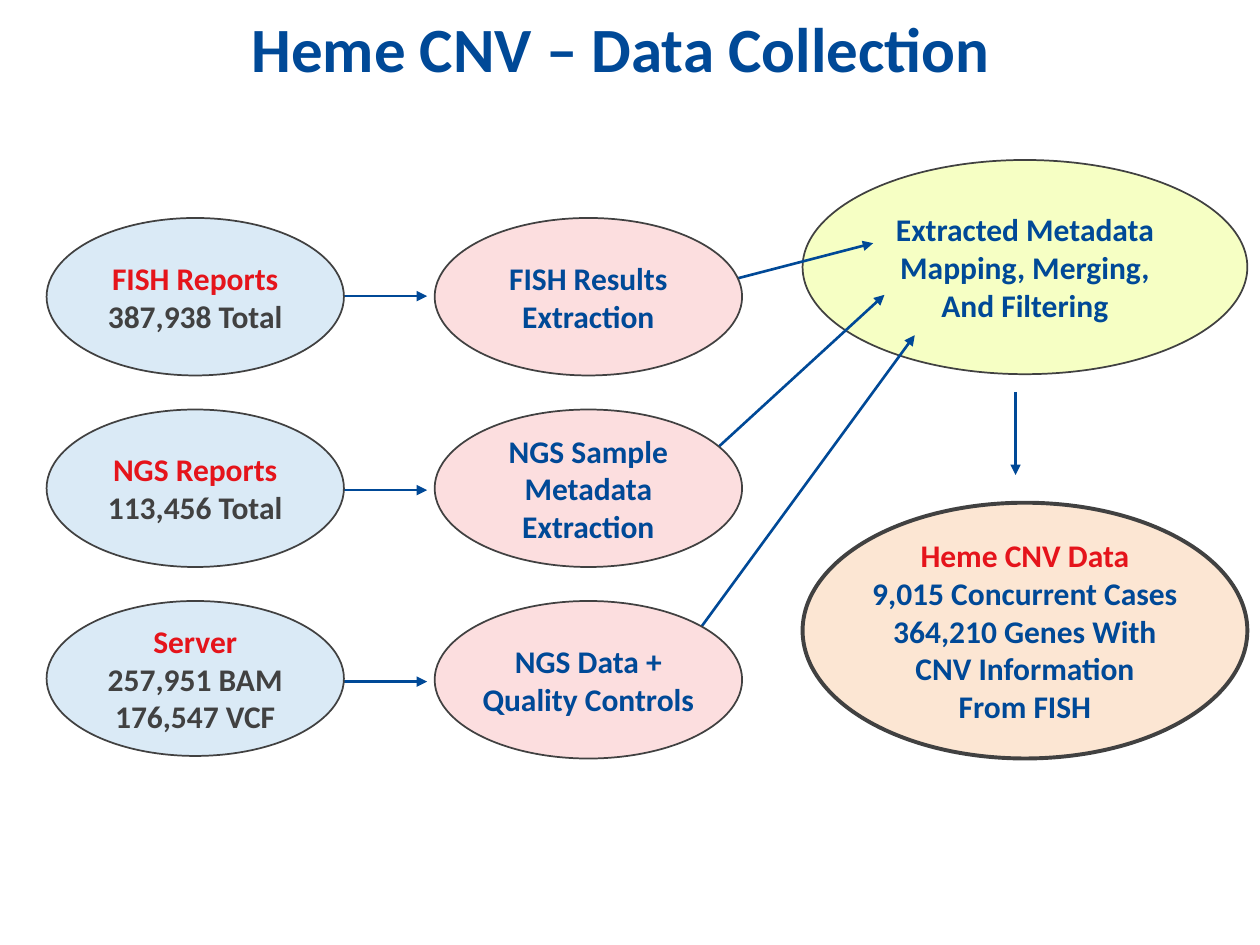
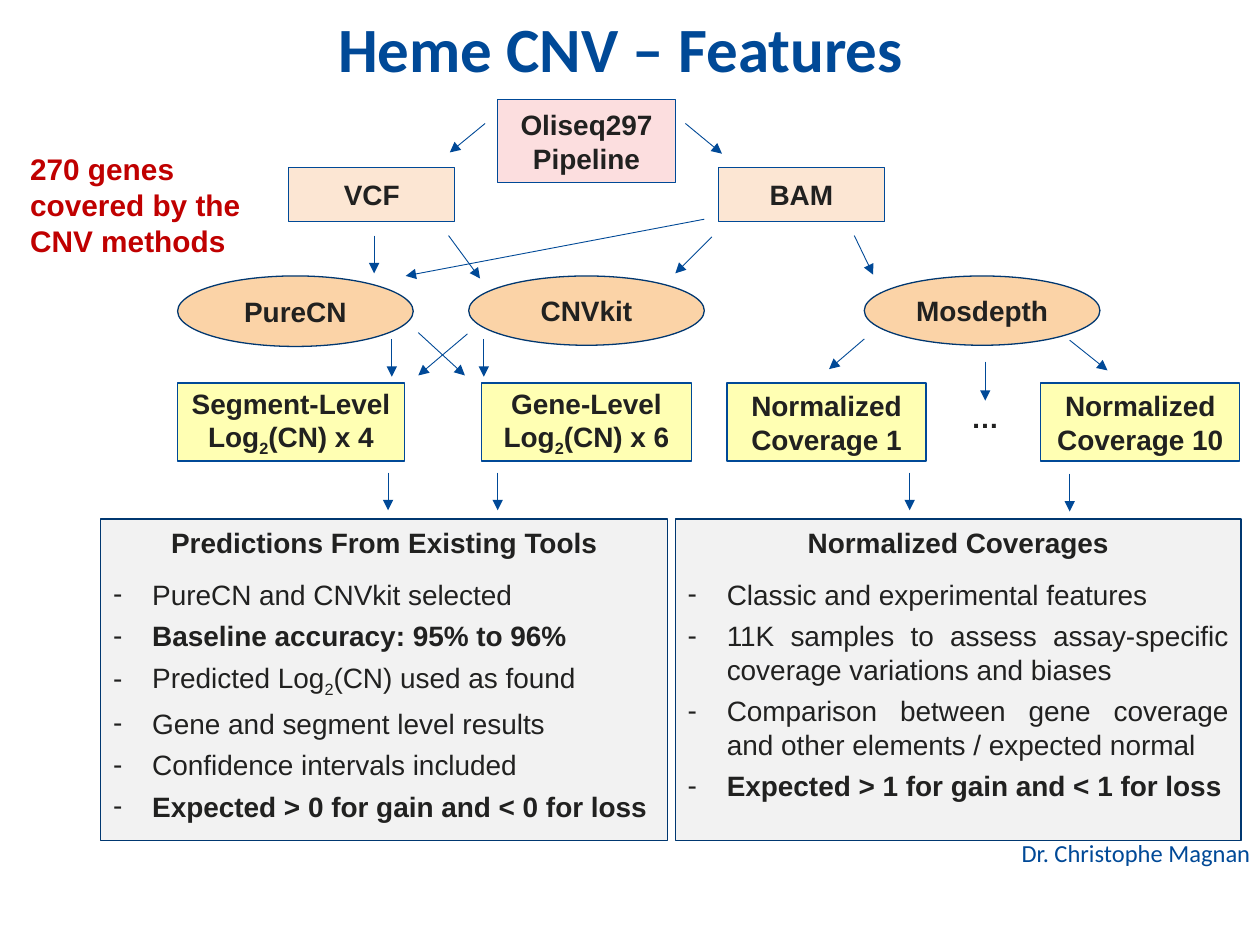
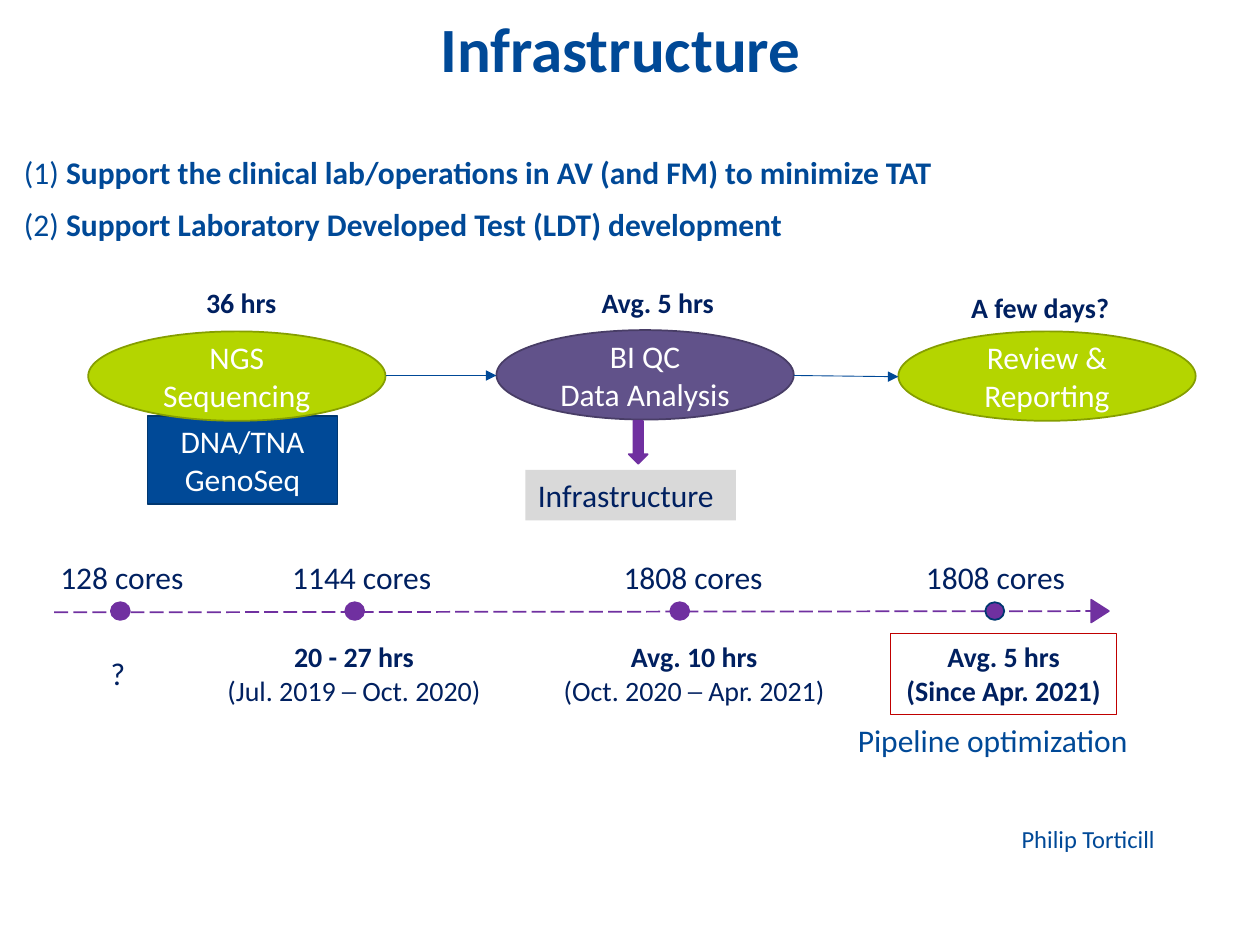
from collections import namedtuple

from pptx import Presentation
from pptx.dml.color import RGBColor as RGB
from pptx.enum.dml import MSO_LINE as DASH
from pptx.enum.shapes import MSO_CONNECTOR as WIRE, MSO_SHAPE as FORM
from pptx.enum.text import MSO_ANCHOR as ANCHOR, MSO_AUTO_SIZE as FIT, PP_ALIGN as ALIGN
from pptx.oxml.ns import qn
from pptx.oxml.xmlchemy import OxmlElement as Node
from pptx.util import Pt

PX = 9144  # 100 px to the inch
Style = namedtuple("Style", "font size tint bold low", defaults=(False, False))


class Theme:
    blue, navy, deep, ink = "004997", "003770", "002060", "212120"
    red, dark, gray, white = "E5141B", "414141", "F2F2F2", "FFFFFF"
    wine, silver, violet = "C00000", "D9D9D9", "7030A0"
    sky, pink, lime, peach = "DAEAF6", "FCDEDF", "F6FFC4", "FCE6D3"
    tan, lemon = "FBD3A7", "FFFFB3"
    green, moss, plum, grape = "B4D500", "859E00", "61528A", "483D66"
    title = Style("Calibri", 36, blue, True)
    node = Style("Calibri", 18, blue, True)
    head = node._replace(tint=red)
    count = node._replace(tint=dark)
    tool = Style("Arial", 16, ink, True)
    plain = tool._replace(bold=False)
    alert = Style("Arial", 17, wine, True)
    step = Style("Calibri", 18, white)
    core = step._replace(tint=deep)
    note = step._replace(tint=blue)
    time = Style("Calibri", 16, deep, True)
    span = time._replace(bold=False)
    name = Style("Calibri", 14, blue)


T = Theme


def box(page, form, at, rows=(), fill=None, edge=None, width=1, align=ALIGN.CENTER,
        anchor=ANCHOR.MIDDLE, side=10, wrap=True):
    """Place a shape, or a text box if form is None; rows hold (text, style) runs."""
    x, y, w, h = (n * PX for n in at)
    if form is None:
        item = page.shapes.add_textbox(x, y, w, h)
        anchor = ANCHOR.TOP
    else:
        item = page.shapes.add_shape(form, x, y, w, h)
        item.shadow.inherit = False
        if fill:
            item.fill.solid()
            item.fill.fore_color.rgb = RGB.from_string(fill)
        else:
            item.fill.background()
        if edge:
            item.line.color.rgb = RGB.from_string(edge)
            item.line.width = Pt(width)
        else:
            item.line.fill.background()
    frame = item.text_frame
    frame.word_wrap = wrap
    frame.auto_size = FIT.NONE if wrap else FIT.SHAPE_TO_FIT_TEXT
    frame.vertical_anchor = anchor
    frame.margin_left = frame.margin_right = side * PX
    frame.margin_top = frame.margin_bottom = 5 * PX
    for i, row in enumerate(rows):
        para = frame.add_paragraph() if i else frame.paragraphs[0]
        para.alignment = align
        for text, style in row:
            run = para.add_run()
            run.text = text
            font = run.font
            font.name, font.size, font.bold = style.font, Pt(style.size), style.bold
            font.color.rgb = RGB.from_string(style.tint)
            if style.low:
                run._r.get_or_add_rPr().set("baseline", "-25000")
    return item


def link(page, ends, width, tint=T.blue, head=True, dash=None):
    """Draw a straight line from the first end to the second."""
    wire = page.shapes.add_connector(WIRE.STRAIGHT, *(n * PX for n in ends))
    wire.line.color.rgb = RGB.from_string(tint)
    wire.line.width = Pt(width)
    if dash:
        wire.line.dash_style = dash
    props = wire._element.spPr
    if head:
        tip = Node("a:tailEnd")
        tip.set("type", "triangle")
        props.find(qn("a:ln")).append(tip)
    props.append(Node("a:effectLst"))


deck = Presentation()
deck.slide_width, deck.slide_height = 1000 * PX, 750 * PX

# Slides and their titles
pages = []
for words in ("Heme CNV – Data Collection", "Heme CNV – Features", "Infrastructure"):
    page = deck.slides.add_slide(deck.slide_layouts[5])
    title = page.shapes.title
    title.left, title.top, title.width, title.height = 15 * PX, 14 * PX, 965 * PX, 68 * PX
    frame = title.text_frame
    frame.auto_size = FIT.NONE
    frame.vertical_anchor = ANCHOR.TOP
    frame.margin_left = frame.margin_top = 0
    frame.margin_right, frame.margin_bottom = 10 * PX, 5 * PX
    para = frame.paragraphs[0]
    para.alignment = ALIGN.CENTER
    para.line_spacing = 0.9
    run = para.add_run()
    run.text = words
    run.font.name, run.font.size, run.font.bold = T.title.font, Pt(T.title.size), True
    run.font.color.rgb = RGB.from_string(T.title.tint)
    pages.append(page)
data, feats, infra = pages

# Data collection: merged results
box(data, FORM.OVAL, (637, 127, 353, 170),
    [[("Extracted Metadata Mapping, Merging,", T.node)], [("And Filtering", T.node)]],
    T.lime, T.dark)
box(data, FORM.OVAL, (637, 399, 353, 203),
    [[("Heme CNV Data", T.head)], [("9,015 Concurrent Cases", T.node)],
     [("364,210 Genes With CNV Information", T.node)], [("From FISH", T.node)]],
    T.peach, T.dark, 2.25, side=0)

# Data collection: arrows
for ends in ((230, 235, 339, 235), (230, 389, 339, 389), (230, 541, 339, 541),
             (535, 234, 693, 193), (535, 387, 702, 234), (527, 538, 726, 266),
             (806, 311, 806, 377)):
    link(data, ends, 1.5)

# Data collection: sources and their extraction, row by row
flows = (
    ("FISH Reports", ["387,938 Total"], ["FISH Results", "Extraction"], 125, 10),
    ("NGS Reports", ["113,456 Total"], ["NGS Sample Metadata Extraction"], 125, 10),
    ("Server", ["257,951 BAM", "176,547 VCF"], ["NGS Data + Quality Controls"], 123, 0),
)
for i, (name, counts, steps, tall, side) in enumerate(flows):
    top = 173 + 152 * i
    box(data, FORM.OVAL, (37, top, 236, tall),
        [[(name, T.head)]] + [[(text, T.count)] for text in counts], T.sky, T.dark)
    box(data, FORM.OVAL, (345, top, 244, 125),
        [[(text, T.node)] for text in steps], T.pink, T.dark, side=side)

# Features: pipeline, files and tools
low = T.tool._replace(low=True)
for form, at, lines, fill, edge in (
    (FORM.RECTANGLE, (395, 79, 141, 66), ["Oliseq297", "Pipeline"], T.pink, T.blue),
    (FORM.RECTANGLE, (229, 133, 132, 43), ["VCF"], T.peach, T.blue),
    (FORM.RECTANGLE, (570, 133, 132, 43), ["BAM"], T.peach, T.blue),
    (FORM.OVAL, (141, 219, 187, 56), ["PureCN"], T.tan, T.navy),
    (FORM.OVAL, (372, 219, 187, 55), ["CNVkit"], T.tan, T.navy),
    (FORM.OVAL, (686, 219, 187, 55), ["Mosdepth"], T.tan, T.navy),
):
    box(feats, form, at, [[(text, T.tool)] for text in lines], fill, edge, 0.75)

# Features: outputs of the tools
for x, w, runs in (
    (141, 180, [("Segment-Level Log", T.tool), ("2", low), ("(CN) x 4", T.tool)]),
    (382, 167, [("Gene-Level Log", T.tool), ("2", low), ("(CN) x 6", T.tool)]),
    (577, 158, [("Normalized Coverage 1", T.tool)]),
    (826, 158, [("Normalized Coverage 10", T.tool)]),
):
    box(feats, FORM.RECTANGLE, (x, 304, w, 62), [runs], T.lemon, T.blue, 0.75)
box(feats, None, (761, 313, 43, 37), [[("…", T.tool)]], align=ALIGN.LEFT, wrap=False)

# Features: summary panels
panels = (
    (80, 450, "Predictions From Existing Tools", [
        [("PureCN and CNVkit selected", T.plain)],
        [("Baseline accuracy: 95% to 96%", T.tool)],
        [("Predicted Log", T.plain), ("2", T.plain._replace(low=True)),
         ("(CN) used as found", T.plain)],
        [("Gene and segment level results", T.plain)],
        [("Confidence intervals included", T.plain)],
        [("Expected > 0 for gain and < 0 for loss", T.tool)]]),
    (536, 449, "Normalized Coverages", [
        [("Classic and experimental features", T.plain)],
        [("11K samples to assess assay-specific coverage variations and biases", T.plain)],
        [("Comparison between gene coverage and other elements / expected normal", T.plain)],
        [("Expected > 1 for gain and < 1 for loss", T.tool)]]),
)
for x, w, head, points in panels:
    panel = box(feats, FORM.RECTANGLE, (x, 412, w, 255), [[(head, T.tool)]] + points,
                T.gray, T.navy, 0.75, anchor=ANCHOR.TOP)
    for i, para in enumerate(panel.text_frame.paragraphs):
        if i:
            props = para._p.get_or_add_pPr()
            props.set("marL", str(31 * PX))
            props.set("indent", str(-31 * PX))
            for tag, key, value in (("a:buFont", "typeface", T.plain.font),
                                    ("a:buChar", "char", "-")):
                mark = Node(tag)
                mark.set(key, value)
                props.append(mark)
            para.font.size = Pt(T.plain.size)
            para.alignment = ALIGN.JUSTIFY
        if i == 1:
            para.space_before = Pt(6)
        para.space_after = Pt(4.5)

# Features: arrows
for ends in (
    (385, 98, 357, 121), (544, 98, 573, 122),
    (297, 187, 297, 217), (356, 187, 381, 221), (565, 188, 536, 217),
    (678, 187, 693, 218), (559, 174, 322, 219),
    (311, 269, 311, 299), (384, 269, 384, 299), (332, 264, 369, 298),
    (371, 265, 332, 298), (686, 269, 658, 293), (849, 270, 879, 294),
    (782, 287, 782, 318),
    (308, 375, 308, 405), (395, 375, 395, 405), (722, 375, 722, 405),
    (849, 376, 849, 406),
):
    link(feats, ends, 0.5)

# Features: side note and speaker
box(feats, None, (14, 115, 209, 96), [[("270 genes covered by the CNV methods", T.alert)]],
    align=ALIGN.LEFT)
box(feats, None, (801, 660, 204, 34), [[("Dr. Christophe Magnan", T.name)]],
    align=ALIGN.LEFT, wrap=False)

# Infrastructure: goals
goals = box(infra, None, (19, 125, 998, 89), [
    [("(1) ", T.note), ("Support the clinical lab/operations in AV (and FM) to minimize TAT", T.node)],
    [("(2) ", T.note), ("Support Laboratory Developed Test (LDT) development", T.node)],
], align=ALIGN.LEFT, side=0)
goals.text_frame.margin_top = 0
for i, para in enumerate(goals.text_frame.paragraphs):
    para.line_spacing = 0.9
    if i:
        para.space_before = Pt(10)

# Infrastructure: process steps
box(infra, FORM.RECTANGLE, (117, 330, 151, 70),
    [[("DNA/TNA", T.step)], [("GenoSeq", T.step)]], T.blue, T.navy)
for x, y, lines, fill, edge in (
    (70, 263, ["NGS Sequencing"], T.green, T.moss),
    (394, 262, ["BI QC", "Data Analysis"], T.plum, T.grape),
    (713, 263, ["Review & Reporting"], T.green, T.moss),
):
    box(infra, FORM.OVAL, (x, y, 236, 71), [[(text, T.step)] for text in lines], fill, edge)
for at, text in (((153, 222, 77, 38), "36 hrs"), ((467, 222, 110, 37), "Avg. 5 hrs"),
                 ((757, 226, 137, 37), "A few days?")):
    box(infra, None, at, [[(text, T.time)]])
link(infra, (306, 298, 394, 298), 0.5)
link(infra, (630, 298, 713, 299), 0.5)
box(infra, FORM.DOWN_ARROW, (499, 334, 15, 34), fill=T.violet, edge=T.violet)
box(infra, FORM.RECTANGLE, (417, 373, 167, 40), [[("Infrastructure", T.core)]],
    T.silver, align=ALIGN.LEFT, anchor=ANCHOR.TOP, wrap=False)

# Infrastructure: timeline
link(infra, (43, 486, 866, 485), 1, T.violet, False, DASH.LONG_DASH)
for dot, x, w, text, edge in (
    (88, 38, 119, "128 cores", T.violet), (274, 222, 132, "1144 cores", T.violet),
    (532, 485, 132, "1808 cores", T.violet), (782, 725, 132, "1808 cores", T.navy),
):
    box(infra, FORM.OVAL, (dot, 478, 15, 14), fill=T.violet, edge=edge)
    box(infra, None, (x, 438, w, 40), [[(text, T.core)]], align=ALIGN.LEFT, wrap=False)
tip = box(infra, FORM.ISOSCELES_TRIANGLE, (864, 478, 18, 14), fill=T.violet, edge=T.violet)
tip.rotation = 90

# Infrastructure: run times
box(infra, None, (78, 514, 32, 40), [[("?", T.core)]], align=ALIGN.LEFT, wrap=False)
for form, x, w, hours, dates, style, edge in (
    (None, 169, 224, "20 - 27 hrs", "(Jul. 2019 ─ Oct. 2020)", T.span, None),
    (None, 436, 230, "Avg. 10 hrs", "(Oct. 2020 ─ Apr. 2021)", T.span, None),
    (FORM.RECTANGLE, 707, 179, "Avg. 5 hrs", "(Since Apr. 2021)", T.time, T.wine),
):
    box(infra, form, (x, 503, w, 64), [[(hours, T.time)], [(dates, style)]],
        edge=edge, width=0.75, anchor=ANCHOR.TOP, wrap=False)
box(infra, None, (671, 567, 260, 40), [[("Pipeline optimization", T.note)]], align=ALIGN.LEFT)
box(infra, None, (801, 649, 127, 34), [[("Philip Torticill", T.name)]],
    align=ALIGN.LEFT, wrap=False)

deck.save("out.pptx")
